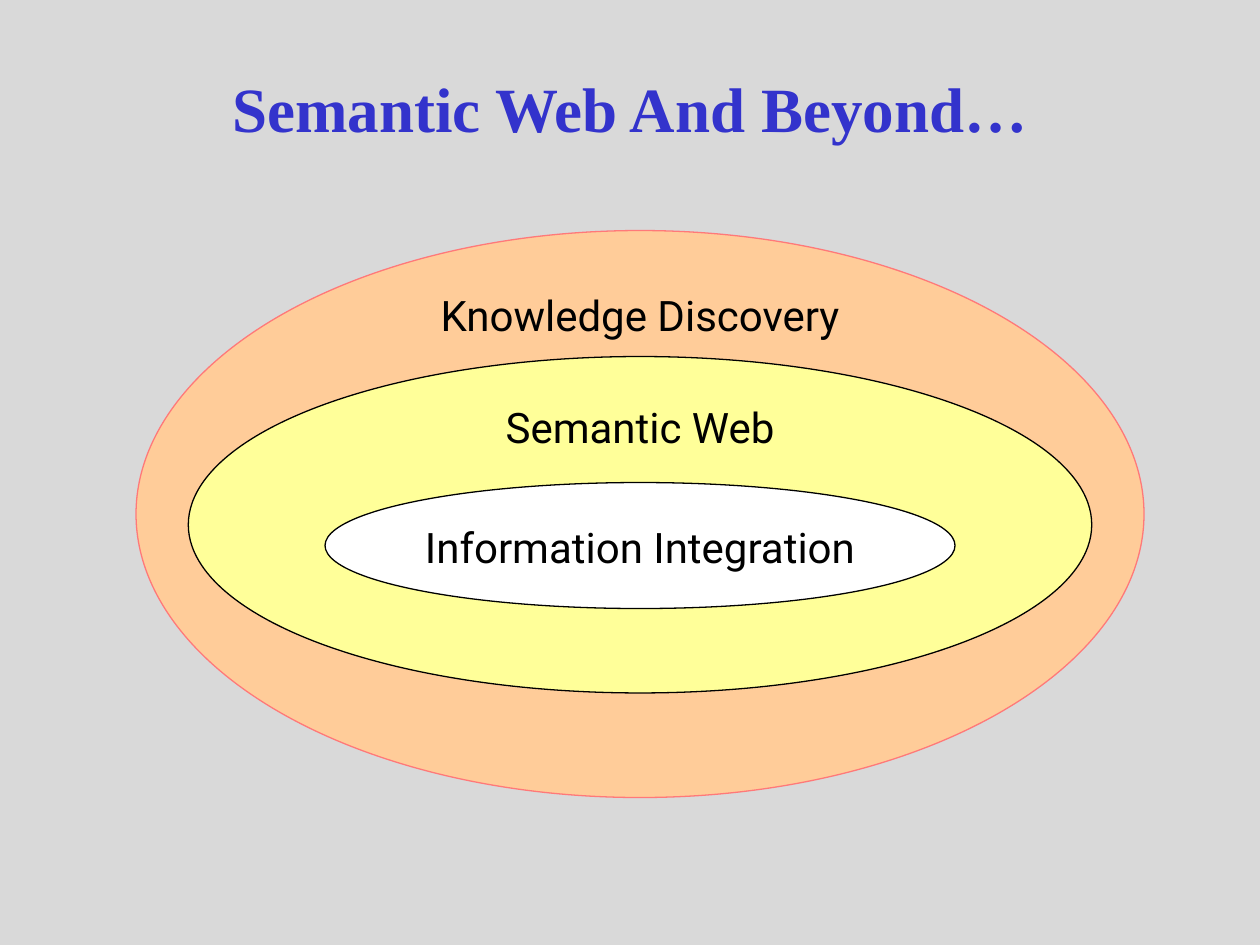
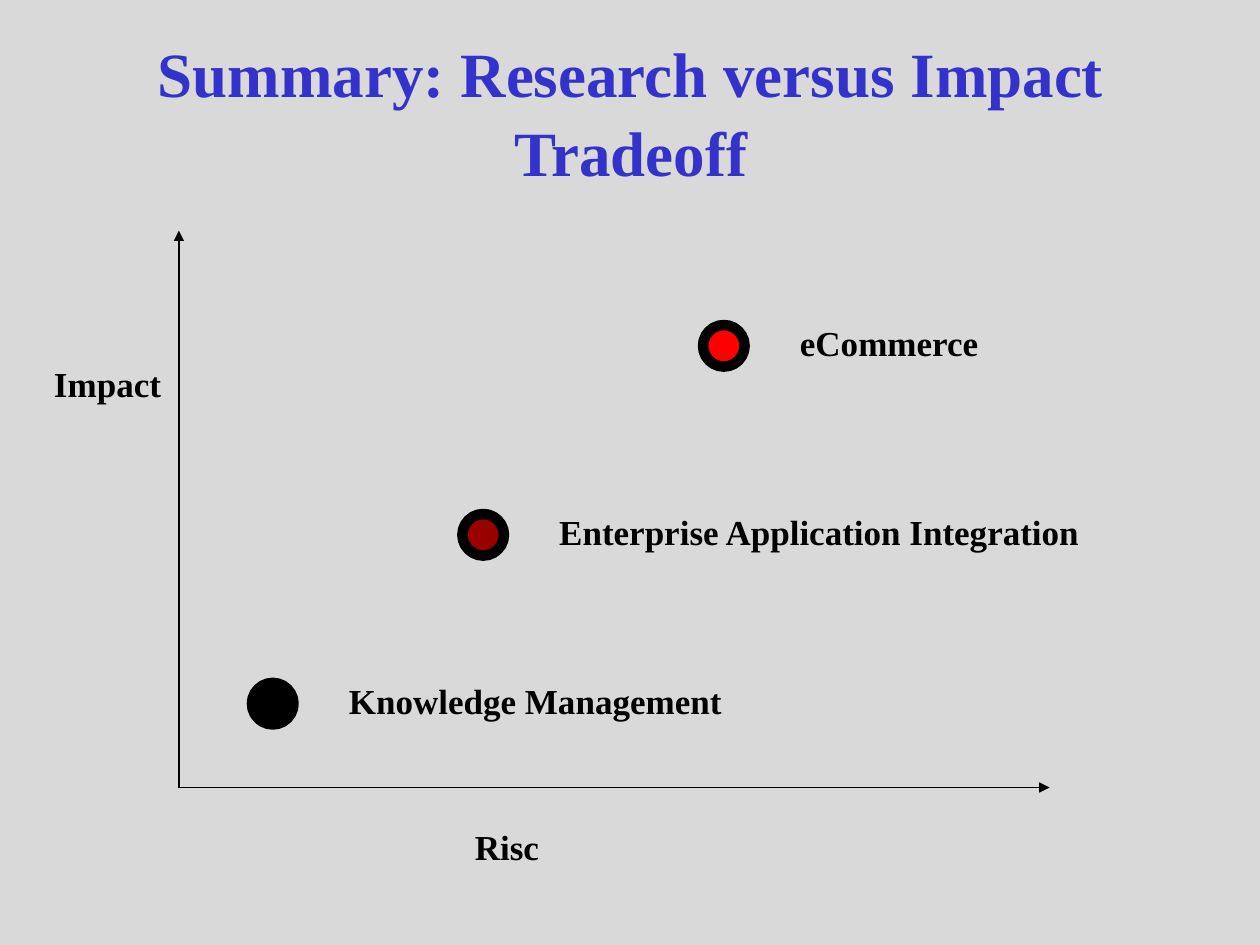
from lxml import etree
from pptx import Presentation
from pptx.dml.color import RGBColor
from pptx.enum.shapes import MSO_CONNECTOR as Connector, MSO_SHAPE as Shape
from pptx.enum.text import MSO_ANCHOR as Anchor, MSO_AUTO_SIZE as AutoSize, PP_ALIGN as Align
from pptx.oxml.ns import qn
from pptx.util import Inches, Pt

SERIF = "Times New Roman"
SANS = "Roboto"
BACKGROUND = "D9D9D9"
TITLE_BLUE = "3333CC"
BLACK = "000000"


def color(hex_text):
    return RGBColor.from_string(hex_text)


class SlideBuilder:
    def __init__(self):
        self.deck = Presentation()
        self.deck.slide_width = Inches(10)
        self.deck.slide_height = Inches(7.5)
        background = self.deck.slide_master.background.fill
        background.solid()
        background.fore_color.rgb = color(BACKGROUND)
        self.page = None

    def set_text(self, shape, text, font_name, size, hex_text, bold, align, anchor, wrap):
        frame = shape.text_frame
        frame.text = text
        frame.auto_size = AutoSize.NONE
        frame.word_wrap = wrap
        frame.vertical_anchor = anchor
        paragraph = frame.paragraphs[0]
        paragraph.alignment = align
        font = paragraph.font
        font.name, font.size, font.bold = font_name, Pt(size), bold
        font.color.rgb = color(hex_text)
        return paragraph

    def new_page(self, title_text, left, top, width, height):
        self.page = self.deck.slides.add_slide(self.deck.slide_layouts[5])
        title = self.page.shapes.title
        title.left, title.top = Inches(left), Inches(top)
        title.width, title.height = Inches(width), Inches(height)
        paragraph = self.set_text(title, title_text, SERIF, 36, TITLE_BLUE, True,
                                  Align.CENTER, Anchor.MIDDLE, True)
        paragraph.line_spacing = 1.05

    def oval(self, left, top, width, height, fill, line, line_width):
        oval = self.page.shapes.add_shape(
            Shape.OVAL, Inches(left), Inches(top), Inches(width), Inches(height))
        oval.shadow.inherit = False
        oval.fill.solid()
        oval.fill.fore_color.rgb = color(fill)
        oval.line.color.rgb = color(line)
        oval.line.width = Pt(line_width)

    def label(self, text, left, top, width, height=0.44, font_name=SERIF, size=20,
              bold=True, align=Align.LEFT, anchor=Anchor.TOP, wrap=False):
        box = self.page.shapes.add_textbox(
            Inches(left), Inches(top), Inches(width), Inches(height))
        self.set_text(box, text, font_name, size, BLACK, bold, align, anchor, wrap)

    def arrow(self, start, end):
        arrow = self.page.shapes.add_connector(
            Connector.STRAIGHT, *(Inches(value) for value in (*start, *end)))
        arrow.line.color.rgb = color(BLACK)
        arrow.line.width = Pt(0.75)
        properties = arrow._element.spPr
        etree.SubElement(properties.find(qn("a:ln")), qn("a:tailEnd"), type="triangle")
        etree.SubElement(properties, qn("a:effectLst"))


def build_nested_fields(builder):
    builder.new_page("Semantic Web And Beyond…", 0.75, 0.42, 8.5, 0.83)
    center, label_width, label_height = 5.08, 5, 0.5
    fields = [
        ("Knowledge Discovery", 1.83, 8, 4.5, "FFCC99", "FF7979", 2.5),
        ("Semantic Web", 2.83, 7.17, 2.67, "FFFF99", BLACK, 3.39),
        ("Information Integration", 3.83, 5, 1, "FFFFFF", BLACK, 4.34),
    ]
    for name, top, width, height, fill, line, label_middle in fields:
        builder.oval(center - width / 2, top, width, height, fill, line, 0.75)
        builder.label(name, center - label_width / 2, label_middle - label_height / 2,
                      label_width, label_height, SANS, 24, False,
                      Align.CENTER, Anchor.MIDDLE, True)


def build_tradeoff(builder):
    builder.new_page("Summary: Research versus Impact Tradeoff", 0.42, 0.25, 9.17, 1.25)
    origin = (1.42, 6.25)
    builder.arrow(origin, (origin[0], 1.83))
    builder.label("Impact", 0.33, 2.83, 1.05)
    builder.arrow(origin, (8.33, origin[1]))
    builder.label("Risc", 3.67, 6.5, 0.71)

    marker_size = 0.33
    topics = [
        ("Knowledge Management", 2, 5.42, BLACK, 3.25),
        ("Enterprise Application Integration", 3.67, 4.08, "990000", 5.17),
        ("eCommerce", 5.58, 2.58, "FF0000", 3.25),
    ]
    for name, left, top, fill, label_width in topics:
        builder.oval(left, top, marker_size, marker_size, fill, BLACK, 6)
        builder.label(name, left + 0.67, top - 0.08, label_width, wrap=True)


def main():
    builder = SlideBuilder()
    build_nested_fields(builder)
    build_tradeoff(builder)
    builder.deck.save("out.pptx")


if __name__ == "__main__":
    main()
